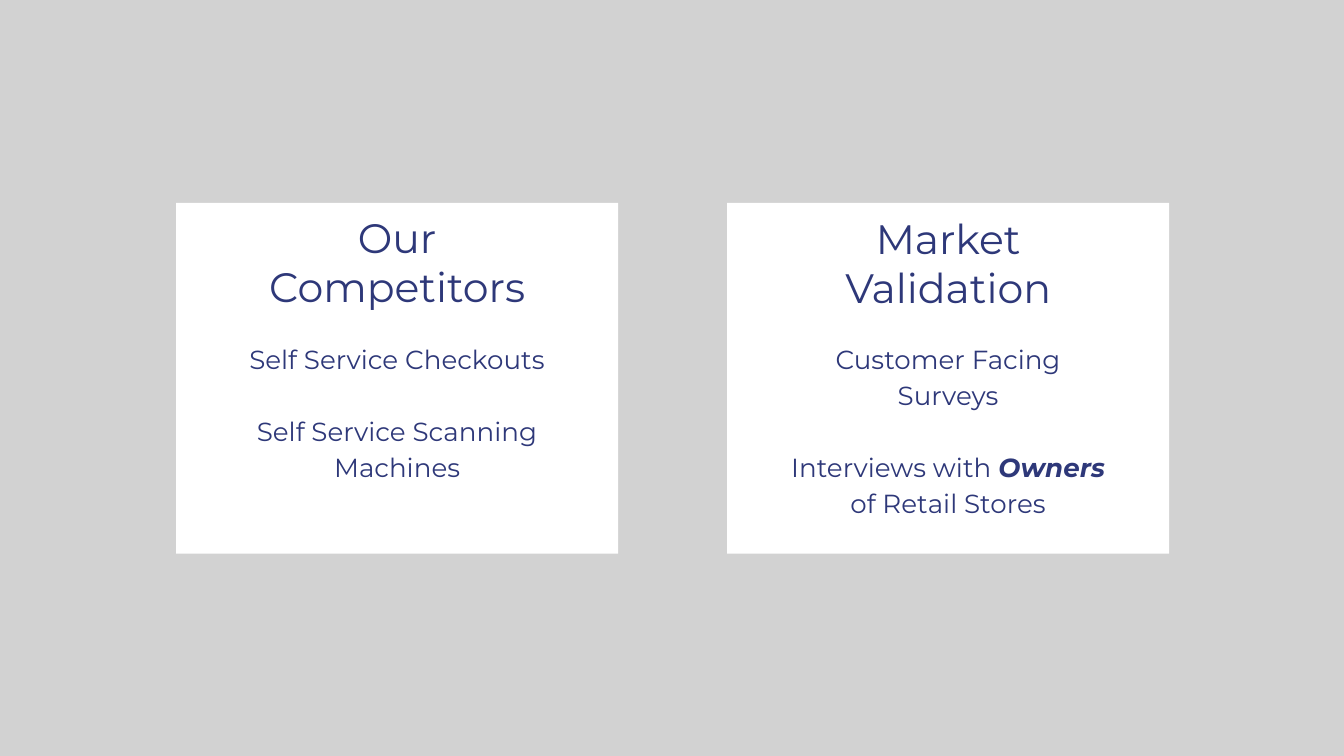
from lxml.etree import SubElement
from pptx import Presentation
from pptx.dml.color import RGBColor
from pptx.enum.shapes import MSO_SHAPE
from pptx.enum.text import MSO_ANCHOR, PP_ALIGN
from pptx.oxml.ns import qn
from pptx.util import Pt

COLORS = {"backdrop": "A7A7A7", "card": "FFFFFF", "text": "2E3879"}
FONT = "Montserrat"
CARD_TOP, CARD_W, CARD_H = 108.7, 236.9, 187.9
TITLE_W, TITLE_H = 183.6, 45.4
BODY_TOP, BODY_H = 174.2, 115.2
CARDS = [
    {
        "left": 94.3,
        "title": "Our Competitors",
        "title_top": 128.2,
        "body_w": 183.6,
        "body": [
            [("Self Service Checkouts", False)],
            [("Self Service Scanning Machines", False)],
        ],
    },
    {
        "left": 389.5,
        "title": "Market Validation",
        "title_top": 128.9,
        "body_w": 192.2,
        "body": [
            [("Customer Facing Surveys", False)],
            [("Interviews with ", False), ("Owners ", True), ("of Retail Stores", False)],
        ],
    },
]


def add_rect(slide, left, top, width, height, color, alpha=None):
    """Add a borderless filled rectangle, with opacity in percent if given."""
    s = slide.shapes.add_shape(
        MSO_SHAPE.RECTANGLE, Pt(left), Pt(top), Pt(width), Pt(height)
    )
    s.shadow.inherit = False
    s.line.fill.background()
    s.fill.solid()
    s.fill.fore_color.rgb = RGBColor.from_string(COLORS[color])
    if alpha is not None:
        fill = s._element.spPr.find(qn("a:solidFill"))
        SubElement(fill[0], qn("a:alpha"), val=str(alpha * 1000))
    return s


def add_text(slide, paragraphs, *, left, top, width, height, size,
             anchor=MSO_ANCHOR.TOP, line_spacing=None, gap=0):
    """Add centred paragraphs made of (text, emphasised) runs."""
    box = slide.shapes.add_textbox(Pt(left), Pt(top), Pt(width), Pt(height))
    tf = box.text_frame
    tf.word_wrap = True
    tf.vertical_anchor = anchor
    tf.margin_left = tf.margin_right = tf.margin_top = tf.margin_bottom = Pt(7.2)
    for i, runs in enumerate(paragraphs):
        p = tf.add_paragraph() if i else tf.paragraphs[0]
        p.alignment = PP_ALIGN.CENTER
        p.line_spacing = line_spacing
        p.space_before = Pt(gap if i else 0)
        for text, emphasised in runs:
            r = p.add_run()
            r.text = text
            r.font.name = FONT
            r.font.size = Pt(size)
            r.font.bold = r.font.italic = emphasised
            r.font.color.rgb = RGBColor.from_string(COLORS["text"])
    return box


def add_card(slide, card):
    """Add a white card with its title and body centred across it."""
    middle = card["left"] + CARD_W / 2
    add_rect(slide, card["left"], CARD_TOP, CARD_W, CARD_H, "card")
    add_text(slide, [[(card["title"], False)]], left=middle - TITLE_W / 2,
             top=card["title_top"], width=TITLE_W, height=TITLE_H, size=22,
             anchor=MSO_ANCHOR.BOTTOM)
    add_text(slide, card["body"], left=middle - card["body_w"] / 2,
             top=BODY_TOP, width=card["body_w"], height=BODY_H, size=14,
             line_spacing=1.15, gap=19.3)


def main():
    """Build the slide and save it."""
    prs = Presentation()
    prs.slide_width, prs.slide_height = Pt(720), Pt(405)
    slide = prs.slides.add_slide(prs.slide_layouts[6])
    add_rect(slide, 0, 0, 723.6, 405, "backdrop", alpha=50)
    for card in CARDS:
        add_card(slide, card)
    prs.save("out.pptx")


if __name__ == "__main__":
    main()
